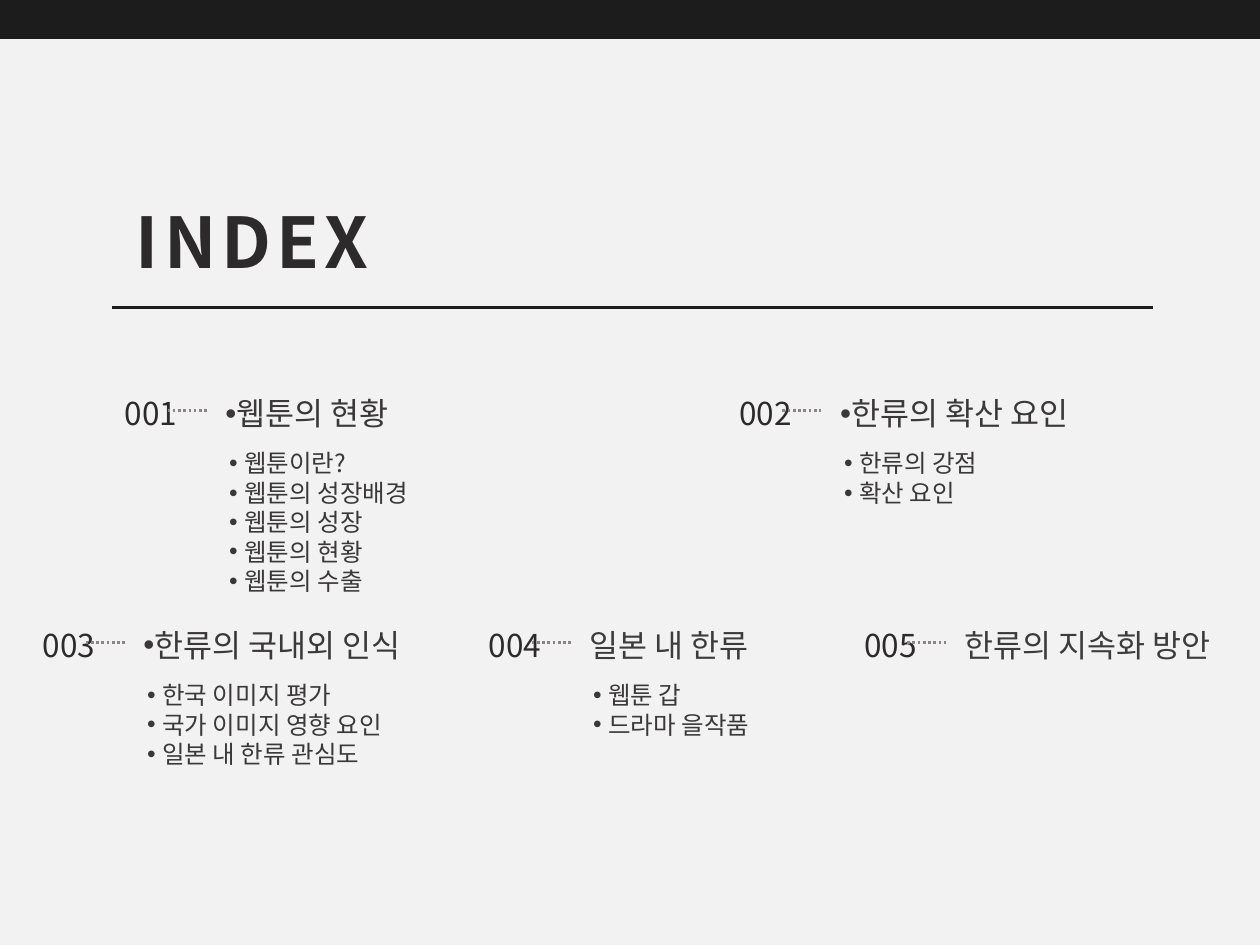
import pptx
import pptx.util
import pptx.dml.color
import pptx.enum.dml
import pptx.enum.shapes
import pptx.enum.text
from lxml import etree

Inches = pptx.util.Inches
Pt = pptx.util.Pt
FONT = "Noto Sans CJK KR"
HUES = {"back": "F2F2F2", "bar": "1D1C1C", "head": "2C2A2A",
        "text": "3A3838", "plain": "3C3C3C", "dots": "8A8686"}

# number, left, top, title, title has bullet, list width, list items
TOPICS = [
    ("001", 0.89, 3.08, "웹툰의 현황", True, 2.06,
     ["웹툰이란?", "웹툰의 성장배경", "웹툰의 성장", "웹툰의 현황", "웹툰의 수출"]),
    ("002", 5.77, 3.08, "한류의 확산 요인", True, 1.48,
     ["한류의 강점", "확산 요인"]),
    ("003", 0.24, 4.92, "한류의 국내외 인식", True, 2.27,
     ["한국 이미지 평가", "국가 이미지 영향 요인", "일본 내 한류 관심도"]),
    ("004", 3.78, 4.92, "일본 내 한류", False, 1.71,
     ["웹툰 갑", "드라마 을작품"]),
    ("005", 6.76, 4.92, "한류의 지속화 방안", False, 0, []),
]


def hue(name):
    return pptx.dml.color.RGBColor.from_string(HUES[name])


def sub(node, tag, **attrs):
    name = pptx.oxml.ns.qn(tag)
    return etree.SubElement(node, name, attrs)


def add_text(shapes, box, lines, size, color, bullet=False, hang=0, bold=False,
             gap=0):
    """Text box with one paragraph a line; gap is letter spacing in points."""
    area = shapes.add_textbox(*map(Inches, box))
    frame = area.text_frame
    frame.word_wrap = True
    frame.auto_size = pptx.enum.text.MSO_AUTO_SIZE.SHAPE_TO_FIT_TEXT
    frame.text = "\n".join(lines)
    for para in frame.paragraphs:
        if bullet:
            props = para._p.get_or_add_pPr()
            props.set("marL", str(Inches(hang)))
            props.set("indent", str(-Inches(hang)))
            sub(props, "a:buFont", typeface="Arial")
            sub(props, "a:buChar", char="•")
        font = para.font
        font.size = Pt(size)
        font.bold = bold
        font.name = FONT
        font.color.rgb = hue(color)
        sub(font._element, "a:ea", typeface=FONT)
        if gap:
            font._element.set("spc", str(gap * 100))


def add_line(shapes, left, right, top, color, dotted=False):
    line = shapes.add_connector(
        pptx.enum.shapes.MSO_CONNECTOR.STRAIGHT,
        Inches(left), Inches(top), Inches(right), Inches(top))
    line.line.color.rgb = hue(color)
    line.line.width = Pt(1.5)
    if dotted:
        line.line.dash_style = pptx.enum.dml.MSO_LINE.ROUND_DOT
    sub(line._element.spPr, "a:effectLst")


def add_header(slide, left, top, width):
    # Dark band along the top edge
    band = slide.shapes.add_shape(
        pptx.enum.shapes.MSO_SHAPE.RECTANGLE, 0, 0, Inches(10), Inches(0.31))
    band.shadow.inherit = False
    band.fill.solid()
    band.fill.fore_color.rgb = hue("bar")
    band.line.fill.background()
    # Heading and rule
    add_text(slide.shapes, (left + 0.09, top, 4.54, 0.77), ["INDEX"], 40,
             "head", bold=True, gap=3)
    add_line(slide.shapes, left, left + width, top + 0.91, "bar")


def add_topic(slide, number, left, top, title, bullet, width, items):
    shapes = slide.shapes.add_group_shape().shapes
    add_text(shapes, (left, top, 0.71, 0.4), [number], 18, "head")
    add_text(shapes, (left + 0.8, top, 2.58, 0.4), [title], 18,
             "text" if bullet else "plain", bullet)
    if items:
        add_text(shapes, (left + 0.83, top + 0.43, width,
                          0.1 + 0.235 * len(items)),
                 items, 14, "text", True, hang=0.12)
    add_line(shapes, left + 0.44, left + 0.75, top + 0.18, "dots", True)


def main():
    deck = pptx.Presentation()
    deck.slide_width, deck.slide_height = Inches(10), Inches(7.5)
    slide = deck.slides.add_slide(deck.slide_layouts[6])
    slide.background.fill.solid()
    slide.background.fill.fore_color.rgb = hue("back")
    add_header(slide, 0.89, 1.53, 8.26)
    for topic in TOPICS:
        add_topic(slide, *topic)
    deck.save("out.pptx")


if __name__ == "__main__":
    main()
